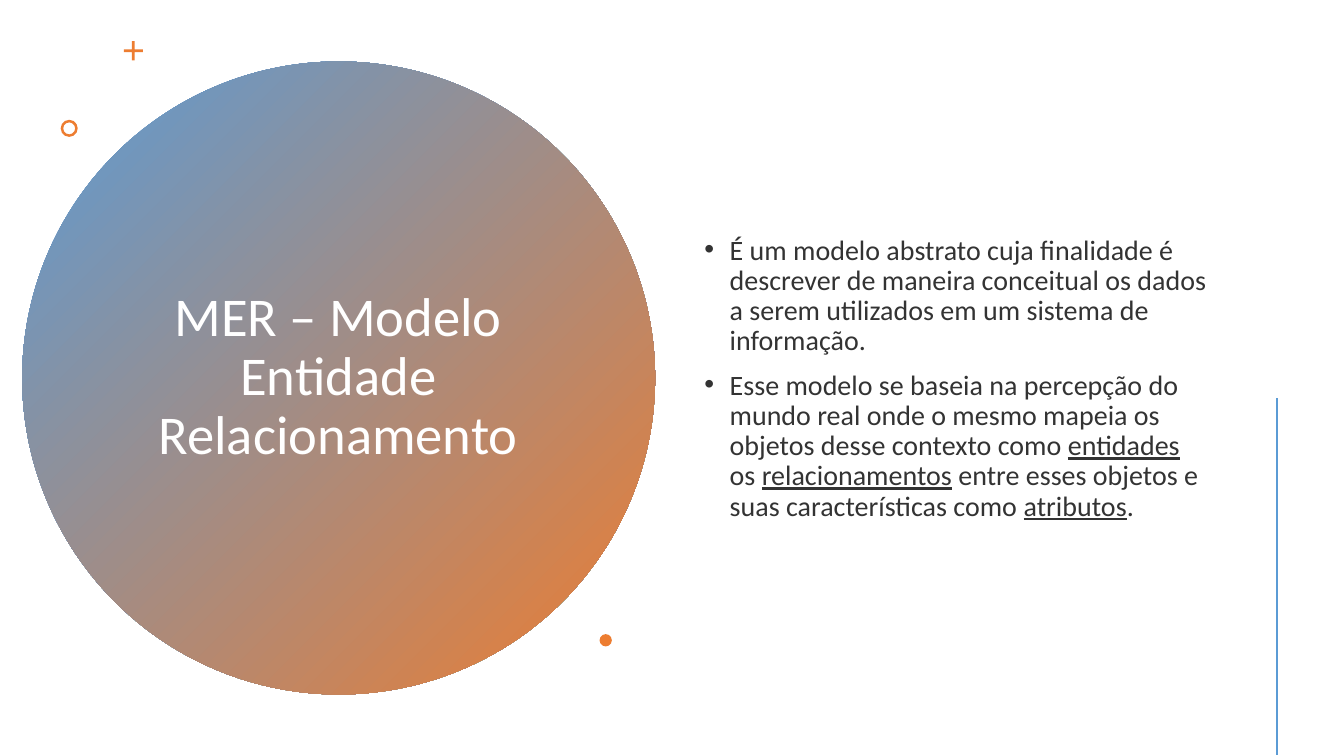
from lxml import etree
from pptx import Presentation
from pptx.dml.color import RGBColor
from pptx.enum.shapes import MSO_CONNECTOR, MSO_SHAPE
from pptx.enum.text import MSO_ANCHOR, PP_ALIGN
from pptx.oxml.ns import qn
from pptx.util import Cm, Pt

OVAL, CROSS, RING = MSO_SHAPE.OVAL, MSO_SHAPE.CROSS, MSO_SHAPE.DONUT
LINE = MSO_CONNECTOR.STRAIGHT
MIDDLE = MSO_ANCHOR.MIDDLE
CENTER = PP_ALIGN.CENTER

FONT = "Calibri"
COLORS = {"blue": "5B9BD5", "orange": "ED7D31", "white": "FFFFFF", "text": "333333"}

TITLE = "MER – Modelo Entidade Relacionamento"
POINTS = [
    ["É um modelo abstrato cuja finalidade é descrever de maneira conceitual "
     "os dados a serem utilizados em um sistema de informação."],
    ["Esse modelo se baseia na percepção do mundo real onde o mesmo mapeia os "
     "objetos desse contexto como ", "entidades", " os ", "relacionamentos",
     " entre esses objetos e suas características como ", "atributos", "."],
]


def color(name):
    return RGBColor.from_string(COLORS[name])


def add_form(slide, kind, x, y, size):
    form = slide.shapes.add_shape(kind, Cm(x), Cm(y), Cm(size), Cm(size))
    form.shadow.inherit = False
    form.line.fill.background()
    return form


def add_frame(slide, x, y, w, h):
    frame = slide.shapes.add_textbox(Cm(x), Cm(y), Cm(w), Cm(h)).text_frame
    frame.word_wrap = True
    frame.vertical_anchor = MIDDLE
    return frame


def style(run, size, name):
    run.font.name = FONT
    run.font.size = Pt(size)
    run.font.color.rgb = color(name)


def add_disc(slide, x, y, size):
    disc = add_form(slide, OVAL, x, y, size)
    disc.fill.gradient()
    disc.fill.gradient_angle = 315
    for stop, name in zip(disc.fill.gradient_stops, ("blue", "orange")):
        stop.color.rgb = color(name)

    frame = add_frame(slide, x + 2.9, y + 2.03, 10.13, 11.86)
    para = frame.paragraphs[0]
    para.text = TITLE
    para.alignment = CENTER
    para.line_spacing = 0.9
    style(para.runs[0], 39, "white")

    marks = [(CROSS, 2.56, -0.51, 0.48, 0.43),
             (RING, 0.97, 1.47, 0.43, 0.15),
             (OVAL, 14.55, 14.43, 0.31, None)]
    for kind, dx, dy, width, adjust in marks:
        mark = add_form(slide, kind, x + dx, y + dy, width)
        mark.fill.solid()
        mark.fill.fore_color.rgb = color("orange")
        if adjust:
            mark.adjustments[0] = adjust


def add_bullet(para):
    props = para._p.get_or_add_pPr()
    props.set("marL", str(Cm(0.64)))
    props.set("indent", str(-Cm(0.64)))
    etree.SubElement(props, qn("a:buFont")).set("typeface", "Arial")
    etree.SubElement(props, qn("a:buChar")).set("char", "•")


def add_points(slide, x, y, w, h):
    frame = add_frame(slide, x, y, w, h)
    for i, parts in enumerate(POINTS):
        para = frame.add_paragraph() if i else frame.paragraphs[0]
        para.line_spacing = 0.9
        para.space_before = Pt(10)
        add_bullet(para)
        for j, part in enumerate(parts):
            run = para.add_run()
            run.text = part
            style(run, 20, "text")
            if j % 2:
                run.font.underline = True


def add_rule(slide, x, y, h):
    rule = slide.shapes.add_connector(LINE, Cm(x), Cm(y), Cm(x), Cm(y + h))
    rule.line.width = Pt(2)
    rule.line.color.rgb = color("blue")
    etree.SubElement(rule._element.spPr, qn("a:effectLst"))


def main():
    deck = Presentation()
    deck.slide_width, deck.slide_height = Cm(33.87), Cm(19.05)
    slide = deck.slides.add_slide(deck.slide_layouts[6])
    add_disc(slide, 0.56, 1.55, 15.95)
    add_points(slide, 17.5, 1.45, 13.23, 16.2)
    add_rule(slide, 32.18, 10.03, 9)
    deck.save("out.pptx")


if __name__ == "__main__":
    main()
